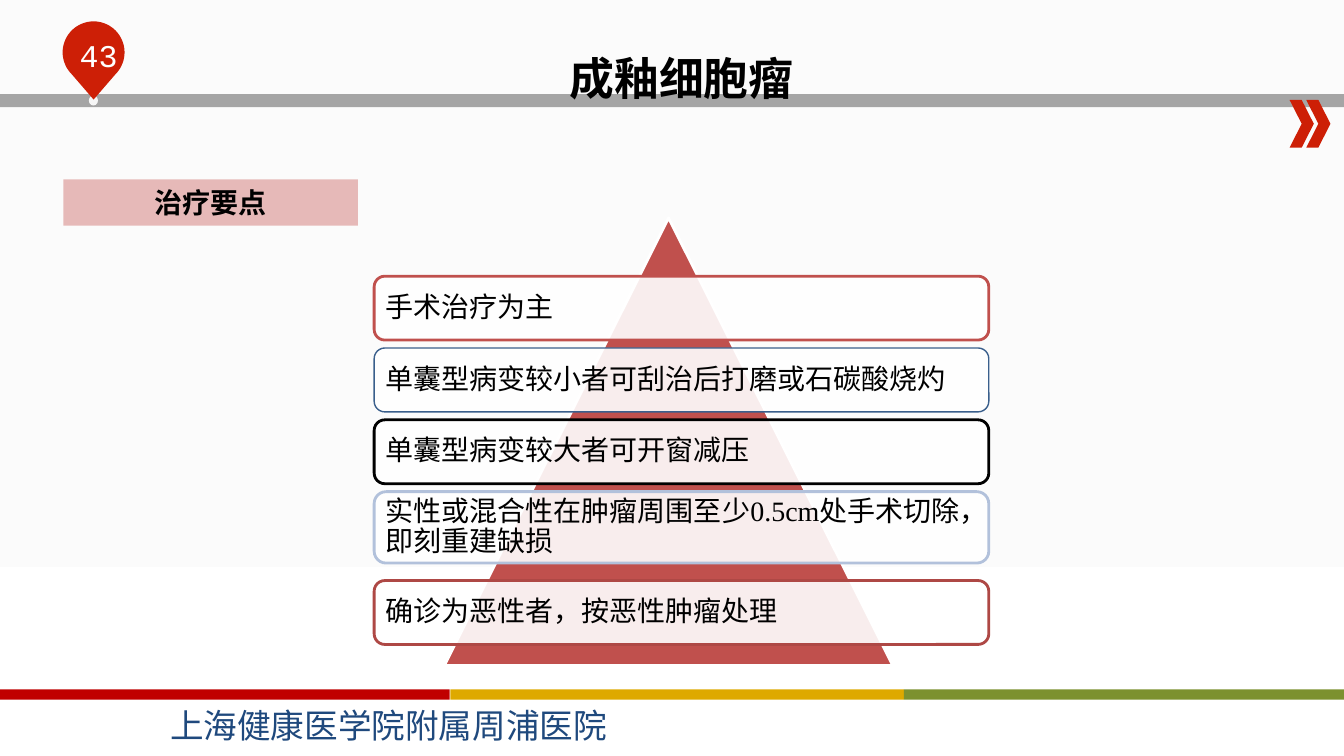
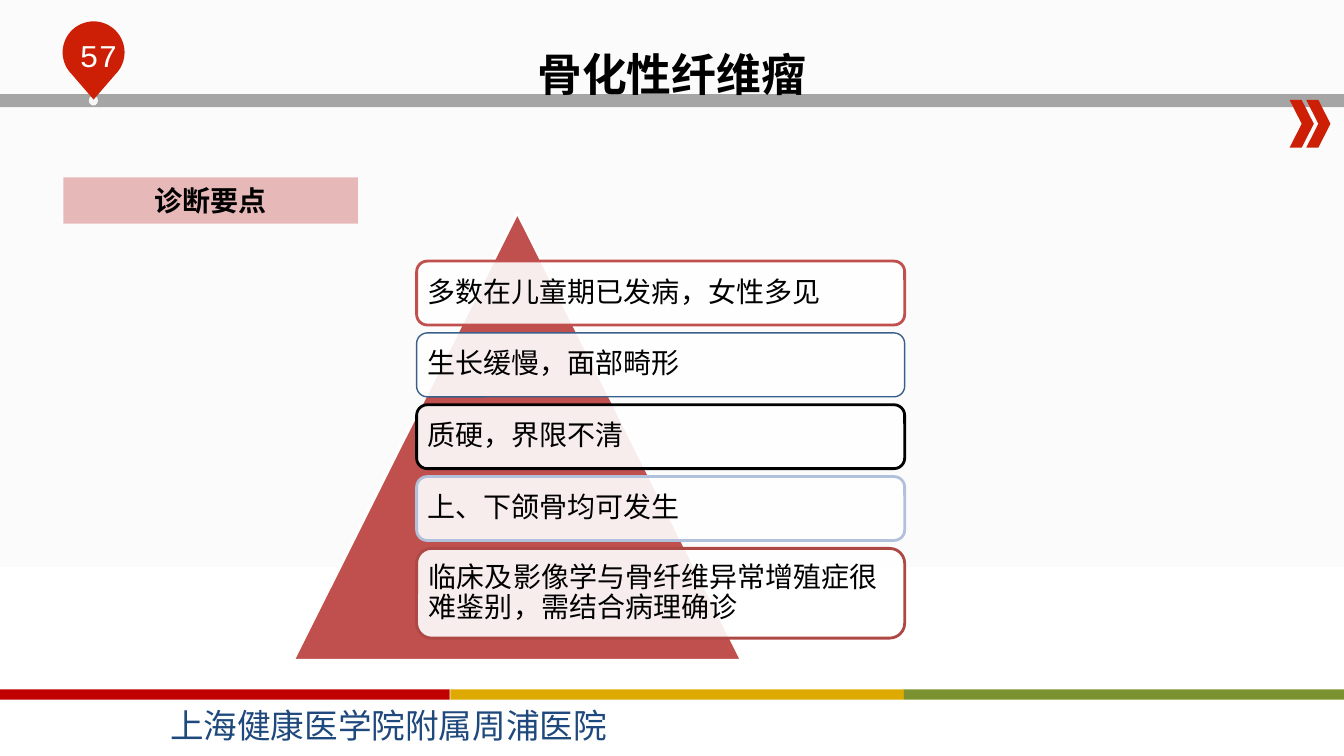
"""Build two treatment and diagnosis slides on jaw tumours."""
import math

import lxml.etree
import pptx
import pptx.dml.color
import pptx.enum.shapes
import pptx.enum.text
import pptx.oxml.ns
import pptx.util

Cm = pptx.util.Cm
Pt = pptx.util.Pt
SHAPE = pptx.enum.shapes.MSO_SHAPE
ANCHOR = pptx.enum.text.MSO_ANCHOR
ALIGN = pptx.enum.text.PP_ALIGN
qn = pptx.oxml.ns.qn

TOPICS = [
    {
        "number": "43", "title": "成釉细胞瘤", "title_at": (14.07, 0.48, 6.22),
        "tag": "治疗要点", "tag_top": 4.52, "triangle_at": (11.2, 5.49),
        "cards_at": (9.43, 6.96), "card_width": 15.49,
        "cards": [
            ("手术治疗为主", 1.61, 0.2),
            ("单囊型病变较小者可刮治后打磨或石碳酸烧灼", 1.61, 0.2),
            ("单囊型病变较大者可开窗减压", 1.61, 0.2),
            ("实性或混合性在肿瘤周围至少0.5cm处手术切除，即刻重建缺损", 1.8, 0.44),
            ("确诊为恶性者，按恶性肿瘤处理", 1.61, 0),
        ],
    },
    {
        "number": "57", "title": "骨化性纤维瘤", "title_at": (13.26, 0.38, 7.34),
        "tag": "诊断要点", "tag_top": 4.47, "triangle_at": (7.39, 5.36),
        "cards_at": (10.5, 6.58), "card_width": 12.3,
        "cards": [
            ("多数在儿童期已发病，女性多见", 1.61, 0.2),
            ("生长缓慢，面部畸形", 1.61, 0.2),
            ("质硬，界限不清", 1.61, 0.2),
            ("上、下颌骨均可发生", 1.61, 0.2),
            ("临床及影像学与骨纤维异常增殖症很难鉴别，需结合病理确诊", 2.26, 0),
        ],
    },
]
HOSPITAL = "上海健康医学院附属周浦医院"
COLORS = {
    "top": "FBFBFB", "white": "FFFFFF", "black": "000000", "band": "A5A5A5",
    "accent": "CD1F06", "dot": "F6F6F6", "hospital": "1F497D",
    "tag": "E6B9B8", "triangle": "C0504D",
}
FOOTER_BARS = [(0, 11.33, "C00000"), (11.35, 22.78, "DEA900"), (22.78, 33.87, "7C912F")]
CARD_LINES = [("C0504D", 2), ("3A5F8C", 1), ("000000", 2), ("B2C1DB", 2), ("AE4845", 2)]
SERIF, SANS, MONO = "Times New Roman", "Noto Sans CJK SC", "Courier New"


def rgb(value):
    return pptx.dml.color.RGBColor.from_string(value)


def paint(shape, fill, line=None, width=0):
    shape.shadow.inherit = False
    shape.fill.solid()
    shape.fill.fore_color.rgb = rgb(fill)
    if line:
        shape.line.color.rgb = rgb(line)
        shape.line.width = Pt(width)
    else:
        shape.line.fill.background()
    return shape


def add_preset(page, kind, place, fill, line=None, width=0):
    shape = page.shapes.add_shape(kind, *map(Cm, place))
    return paint(shape, fill, line, width)


def write(box, text, size, color, font=SERIF, bold=False, align=ALIGN.LEFT,
          anchor=ANCHOR.TOP, wrap=True, spacing=1.0):
    frame = box.text_frame
    frame.text = text
    frame.word_wrap = wrap
    frame.auto_size = pptx.enum.text.MSO_AUTO_SIZE.NONE
    frame.vertical_anchor = anchor
    para = frame.paragraphs[0]
    para.alignment = align
    para.line_spacing = spacing
    para.space_before = Pt(0)
    for span in para.runs:
        span.font.name = font
        span.font.size = Pt(size)
        span.font.bold = bold
        span.font.color.rgb = rgb(color)
        east_asian = lxml.etree.SubElement(span.font._element, qn("a:ea"))
        east_asian.set("typeface", SANS)


def add_pin(page):
    center_x, center_y, radius = 2.36, 1.32, 0.78
    angles = [math.radians(degrees) for degrees in range(45, -226, -5)]
    arc = [(Cm(center_x + radius * math.cos(angle)), Cm(center_y + radius * math.sin(angle)))
           for angle in angles]
    builder = page.shapes.build_freeform(Cm(center_x), Cm(2.51))
    builder.add_line_segments(arc, close=True)
    return paint(builder.convert_to_shape(), COLORS["accent"])


def fill_layout(layout, page):
    """Draw the shared parts on a page and move them to its layout."""
    fill = layout.background.fill
    fill.gradient()
    fill.gradient_angle = 270
    for stop, position, color in zip(fill.gradient_stops, (0.5, 1), ("top", "white")):
        stop.position = position
        stop.color.rgb = rgb(COLORS[color])

    parts = [add_preset(page, SHAPE.RECTANGLE, (0, 2.37, 33.87, 0.33), COLORS["band"])]
    for left in (32.5, 32.92):
        parts.append(add_preset(page, SHAPE.CHEVRON, (left, 2.52, 0.61, 1.2), COLORS["accent"]))
    parts.append(add_preset(page, SHAPE.OVAL, (2.24, 2.41, 0.23, 0.25), COLORS["dot"]))
    parts.append(add_pin(page))
    for left, right, color in FOOTER_BARS:
        parts.append(add_preset(page, SHAPE.RECTANGLE, (left, 17.37, right - left, 0.26), color))
    hospital = page.shapes.add_textbox(Cm(4.04), Cm(17.65), Cm(11.5), Cm(1.27))
    write(hospital, HOSPITAL, 24, COLORS["hospital"], SANS, wrap=False)
    parts.append(hospital)
    for part in parts:
        layout.shapes.element.append(part.element)


def add_cards(page, topic):
    left, top = topic["cards_at"]
    for (text, height, gap), (line, width) in zip(topic["cards"], CARD_LINES):
        place = (left, top, topic["card_width"], height)
        card = add_preset(page, SHAPE.ROUNDED_RECTANGLE, place, COLORS["white"], line, width)
        color = card.element.spPr.find(qn("a:solidFill"))[0]
        lxml.etree.SubElement(color, qn("a:alpha")).set("val", "90000")
        frame = card.text_frame
        frame.margin_left = frame.margin_right = Cm(0.2)
        frame.margin_top = frame.margin_bottom = Cm(0.2)
        write(card, text, 20, COLORS["black"], anchor=ANCHOR.MIDDLE, spacing=0.9)
        top += height + gap


def fill_page(page, topic):
    number = page.shapes.add_textbox(Cm(1.38), Cm(0.79), Cm(2.21), Cm(1.02))
    write(number, topic["number"], 22.6, COLORS["white"], MONO, align=ALIGN.CENTER)

    tag = add_preset(page, SHAPE.RECTANGLE, (1.6, topic["tag_top"], 7.42, 1.17), COLORS["tag"])
    write(tag, topic["tag"], 20, COLORS["black"], bold=True, align=ALIGN.CENTER,
          anchor=ANCHOR.MIDDLE)

    add_preset(page, SHAPE.ISOSCELES_TRIANGLE, (*topic["triangle_at"], 11.3, 11.28),
               COLORS["triangle"], COLORS["white"], 2)
    add_cards(page, topic)

    title = page.shapes.title
    left, top, width = topic["title_at"]
    title.left, title.top, title.width, title.height = map(Cm, (left, top, width, 2.31))
    write(title, topic["title"], 32, COLORS["black"], bold=True, align=ALIGN.CENTER,
          wrap=False, spacing=1.5)


def main():
    deck = pptx.Presentation()
    deck.slide_width, deck.slide_height = Cm(33.87), Cm(19.05)
    layout = deck.slide_layouts[5]
    pages = [deck.slides.add_slide(layout) for _ in TOPICS]
    fill_layout(layout, pages[0])
    for page, topic in zip(pages, TOPICS):
        fill_page(page, topic)
    deck.save("out.pptx")


if __name__ == "__main__":
    main()
